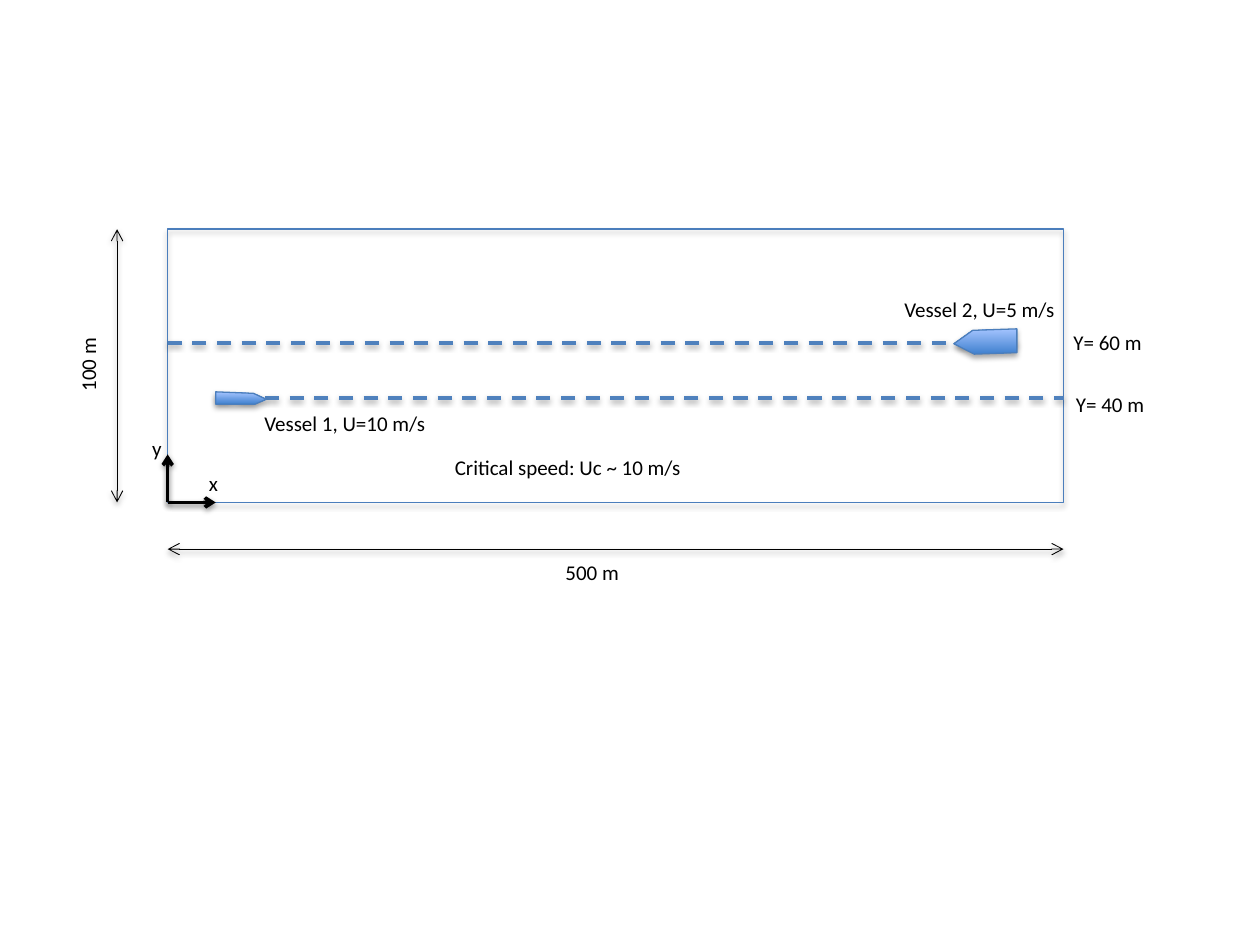
import pptx
import pptx.dml.color
import pptx.enum.dml
import pptx.enum.shapes
import pptx.enum.text
import pptx.oxml
import pptx.oxml.ns
import pptx.util

Cm = pptx.util.Cm
Pt = pptx.util.Pt
COLORS = {"ink": "000000", "track": "4F81BD", "outline": "4B7EBC",
          "hull_dark": "3F80CE", "hull_light": "A4C4FF"}
SHAPE_SHADOW = {"alpha": 35000, "dist": Pt(1.8)}
LINE_SHADOW = {"alpha": 38000, "dist": Pt(1.6)}


def rgb(name):
    return pptx.dml.color.RGBColor.from_string(COLORS[name])


def set_line(sp, color, width, dash=None):
    sp.line.color.rgb = rgb(color)
    for name, value in {"width": Pt(width), "dash_style": dash}.items():
        setattr(sp.line, name, value)


def add_shadow(sp, alpha, dist):
    sp._element.spPr.append(pptx.oxml.parse_xml(
        f'<a:effectLst {pptx.oxml.ns.nsdecls("a")}>'
        f'<a:outerShdw blurRad="{Pt(3.1)}" dist="{dist}" dir="5400000" rotWithShape="0">'
        f'<a:srgbClr val="{COLORS["ink"]}"><a:alpha val="{alpha}"/></a:srgbClr>'
        '</a:outerShdw></a:effectLst>'))


def add_line(s, start, end, color, width, dash=None, arrows=()):
    sp = s.shapes.add_connector(pptx.enum.shapes.MSO_CONNECTOR.STRAIGHT,
                                *(Cm(v) for v in (*start, *end)))
    set_line(sp, color, width, dash)
    ln = sp.line._get_or_add_ln()
    for arrow in arrows:
        ln.append(pptx.oxml.parse_xml(
            f'<a:{arrow} {pptx.oxml.ns.nsdecls("a")} type="arrow"/>'))
    add_shadow(sp, **LINE_SHADOW)


def add_label(s, text, x, y, w, rotation=0):
    sp = s.shapes.add_textbox(Cm(x), Cm(y), Cm(w), Cm(0.76))
    sp.rotation = rotation
    tf = sp.text_frame
    fmt = {"word_wrap": False,
           "auto_size": pptx.enum.text.MSO_AUTO_SIZE.SHAPE_TO_FIT_TEXT}
    for name, value in fmt.items():
        setattr(tf, name, value)
    r = tf.paragraphs[0].add_run()
    r.text = text
    for name, value in {"name": "Calibri", "size": Pt(12)}.items():
        setattr(r.font, name, value)
    r.font.color.rgb = rgb("ink")


def add_vessel(s, x, y, outline):
    points = [(Cm(x + dx), Cm(y + dy)) for dx, dy in outline]
    builder = s.shapes.build_freeform(*points[0])
    builder.add_line_segments(points[1:], close=True)
    sp = builder.convert_to_shape()
    sp.fill.gradient()
    sp.fill.gradient_angle = 90
    for stop, color in zip(sp.fill.gradient_stops, ("hull_dark", "hull_light")):
        stop.color.rgb = rgb(color)
    set_line(sp, "outline", 0.75)
    add_shadow(sp, **SHAPE_SHADOW)


def add_basin(s, x, y, w, h):
    sp = s.shapes.add_shape(pptx.enum.shapes.MSO_SHAPE.RECTANGLE,
                            Cm(x), Cm(y), Cm(w), Cm(h))
    sp.fill.background()
    set_line(sp, "outline", 0.75)
    add_shadow(sp, **SHAPE_SHADOW)


def add_axes(s, x, y, w, h):
    origin = (x, y + h)
    length = 0.97
    for tip in ((x, y + h - length), (x + length, y + h)):
        add_line(s, origin, tip, "ink", 2, arrows=("tailEnd",))
    add_label(s, "x", x + 0.58, y + 4.75, 0.74)
    add_label(s, "y", x - 0.56, y + 4.04, 0.74)


def add_traffic(s, x, y, w, h):
    dash = pptx.enum.dml.MSO_LINE.DASH
    for x1, x2, dy in ((0.97, w, 3.4), (0, 17.12, 2.29)):
        add_line(s, (x + x1, y + dy), (x + x2, y + dy), "track", 2, dash)
    add_vessel(s, x + 15.85, y + 2.01,
               [(1.27, 0), (1.27, 0.48), (0.41, 0.51), (0, 0.3), (0.38, 0.03)])
    add_vessel(s, x + 0.97, y + 3.28,
               [(0, 0), (0, 0.25), (0.79, 0.25), (1.02, 0.15), (0.76, 0.03)])
    for text, dx, dy, width in (
            ("Vessel 1, U=10 m/s", 1.7, 3.53, 3.84),
            ("Vessel 2, U=5 m/s", 14.6, 1.24, 3.61),
            ("Y= 40 m", 18.06, 3.15, 1.93),
            ("Y= 60 m", 18.01, 1.9, 1.93),
            ("Critical speed: Uc ~ 10 m/s", 5.54, 4.42, 5.16)):
        add_label(s, text, x + dx, y + dy, width)


def add_dimensions(s, x, y, w, h):
    below, left = y + h + 0.94, x - 1.02
    for start, end in (((x, below), (x + w, below)), ((left, y), (left, y + h))):
        add_line(s, start, end, "ink", 0.5, arrows=("headEnd", "tailEnd"))
    add_label(s, "500 m", x + 7.77, y + 6.53, 1.6)
    add_label(s, "100 m", x - 2.41, y + 2.34, 1.6, rotation=270)


def main():
    prs = pptx.Presentation()
    for name, value in {"slide_width": Cm(25.4), "slide_height": Cm(19.05)}.items():
        setattr(prs, name, value)
    s = prs.slides.add_slide(prs.slide_layouts[6])
    box = (3.38, 4.62, 18.06, 5.51)
    for add_region in (add_basin, add_axes, add_traffic, add_dimensions):
        add_region(s, *box)
    prs.save("out.pptx")


if __name__ == "__main__":
    main()
